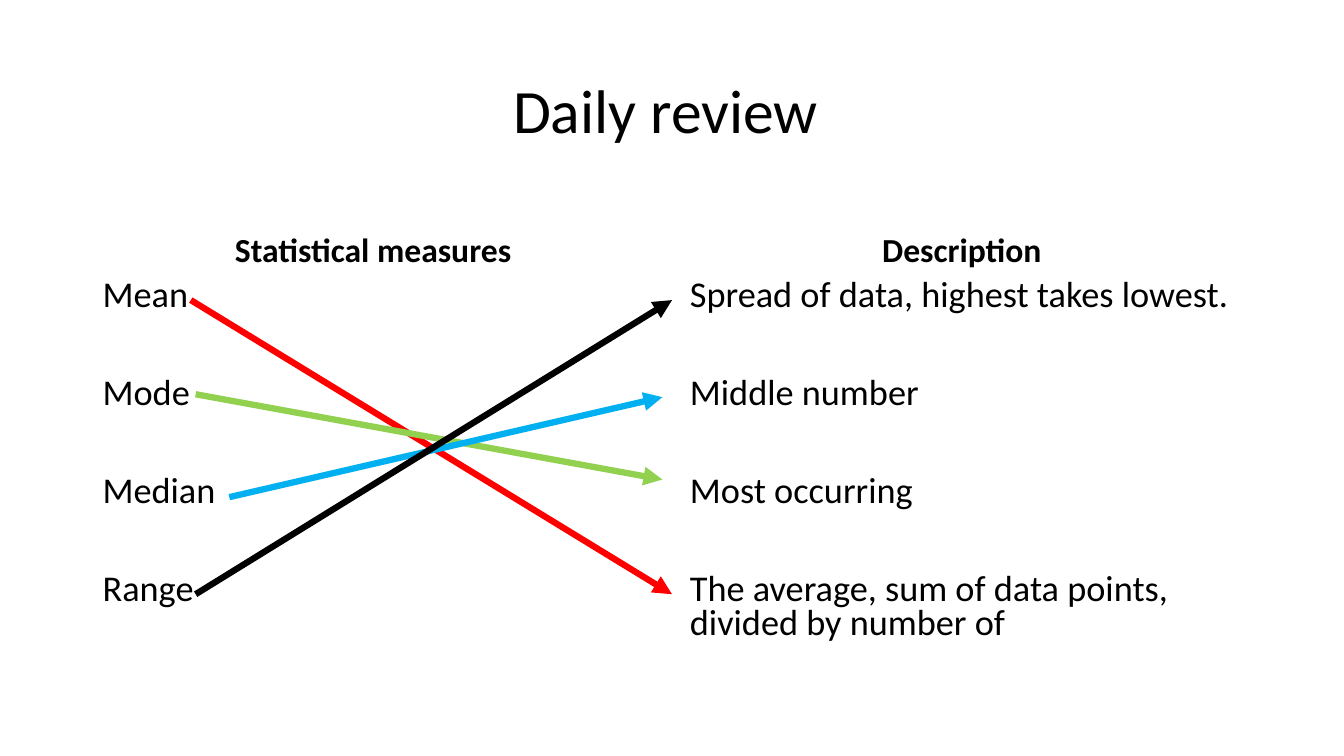
from lxml.etree import SubElement
from pptx import Presentation
from pptx.dml.color import RGBColor
from pptx.enum.shapes import MSO_CONNECTOR
from pptx.enum.text import MSO_ANCHOR, PP_ALIGN
from pptx.oxml.ns import qn
from pptx.util import Inches, Pt

WIDE, HIGH = 13.33, 7.5
INK = {"black": "000000", "red": "FF0000", "green": "92D050", "blue": "00B0F0"}
TERMS = ["Mean", "Mode", "Median", "Range"]
MEANS = [
    "Spread of data, highest takes lowest.",
    "Middle number",
    "Most occurring",
    "The average, sum of data points, divided by number of",
]
LINKS = [
    ("red", (0, 0), (1, 1)),
    ("green", (0.01, 0.32), (0.98, 0.61)),
    ("blue", (0.08, 0.67), (0.98, 0.33)),
    ("black", (0.01, 1), (1, 0)),
]


def add_text(slide, box, lines, size, anchor, align=PP_ALIGN.LEFT,
             bold=False, pitch=0.9, gap=0):
    """Write one paragraph per line in a box of inches."""
    frame = slide.shapes.add_textbox(*map(Inches, box)).text_frame
    frame.word_wrap = True
    frame.vertical_anchor = anchor
    for i, line in enumerate(lines):
        para = frame.add_paragraph() if i else frame.paragraphs[0]
        para.text = line
        para.alignment = align
        para.line_spacing = pitch
        para.space_before = Pt(gap if i else 0)
        para.font.name = "Calibri"
        para.font.size = Pt(size)
        para.font.bold = bold
        para.font.color.rgb = RGBColor.from_string(INK["black"])


def add_column(slide, box, head, items):
    """Place a bold heading above its spaced list."""
    left, top, width, height = box
    cap = 0.18 * height
    add_text(slide, (left, top, width, cap), [head], 24,
             MSO_ANCHOR.BOTTOM, PP_ALIGN.CENTER, bold=True)
    add_text(slide, (left, top + cap, width, height - cap), items, 25.9,
             MSO_ANCHOR.TOP, pitch=0.8, gap=45)


def add_links(slide, box):
    """Draw the matching arrows at shares of the box."""
    left, top, width, height = box
    for ink, start, end in LINKS:
        ends = [Inches(edge + share * span) for point in (start, end)
                for edge, share, span in zip((left, top), point, (width, height))]
        link = slide.shapes.add_connector(MSO_CONNECTOR.STRAIGHT, *ends)
        link.line.color.rgb = RGBColor.from_string(INK[ink])
        link.line.width = Pt(4.5)
        SubElement(link.line._get_or_add_ln(), qn("a:tailEnd"), type="triangle")
        SubElement(link._element.spPr, qn("a:effectLst"))


def add_match(slide, box):
    """Lay out the title, both columns and the arrows."""
    left, top, width, height = box
    side = 0.069 * width
    row = top + 0.245 * height
    deep = 0.657 * height
    add_text(slide, (left + side, top + 0.053 * height, 0.863 * width, 0.193 * height),
             ["Daily review "], 44, MSO_ANCHOR.MIDDLE, PP_ALIGN.CENTER)
    add_column(slide, (left + side, row, 0.423 * width, deep),
               "Statistical measures ", TERMS)
    add_column(slide, (left + 0.506 * width, row, 0.425 * width, deep),
               "Description ", MEANS)
    add_links(slide, (left + 0.142 * width, top + 0.397 * height,
                      0.358 * width, 0.389 * height))


def main():
    """Build and save the slide."""
    deck = Presentation()
    deck.slide_width, deck.slide_height = Inches(WIDE), Inches(HIGH)
    slide = deck.slides.add_slide(deck.slide_layouts[6])
    add_match(slide, (0, 0, WIDE, HIGH))
    deck.save("out.pptx")


if __name__ == "__main__":
    main()
